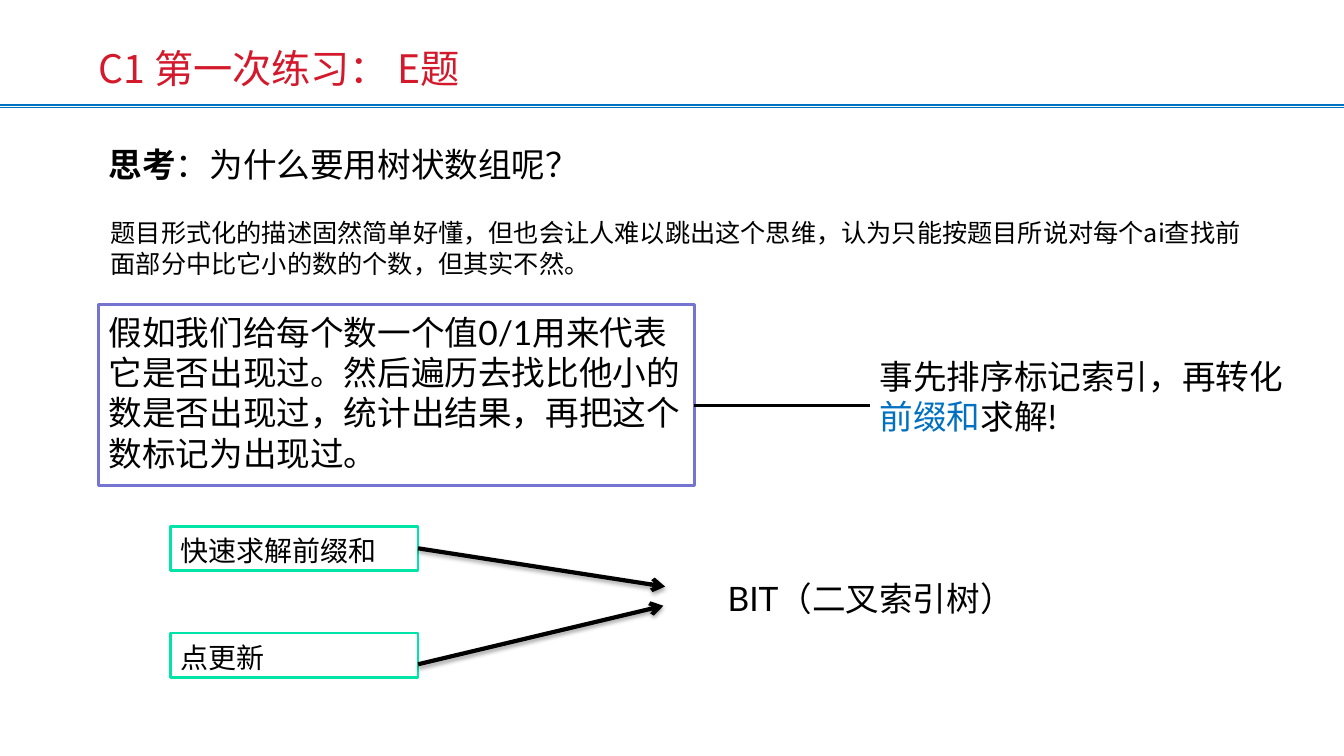
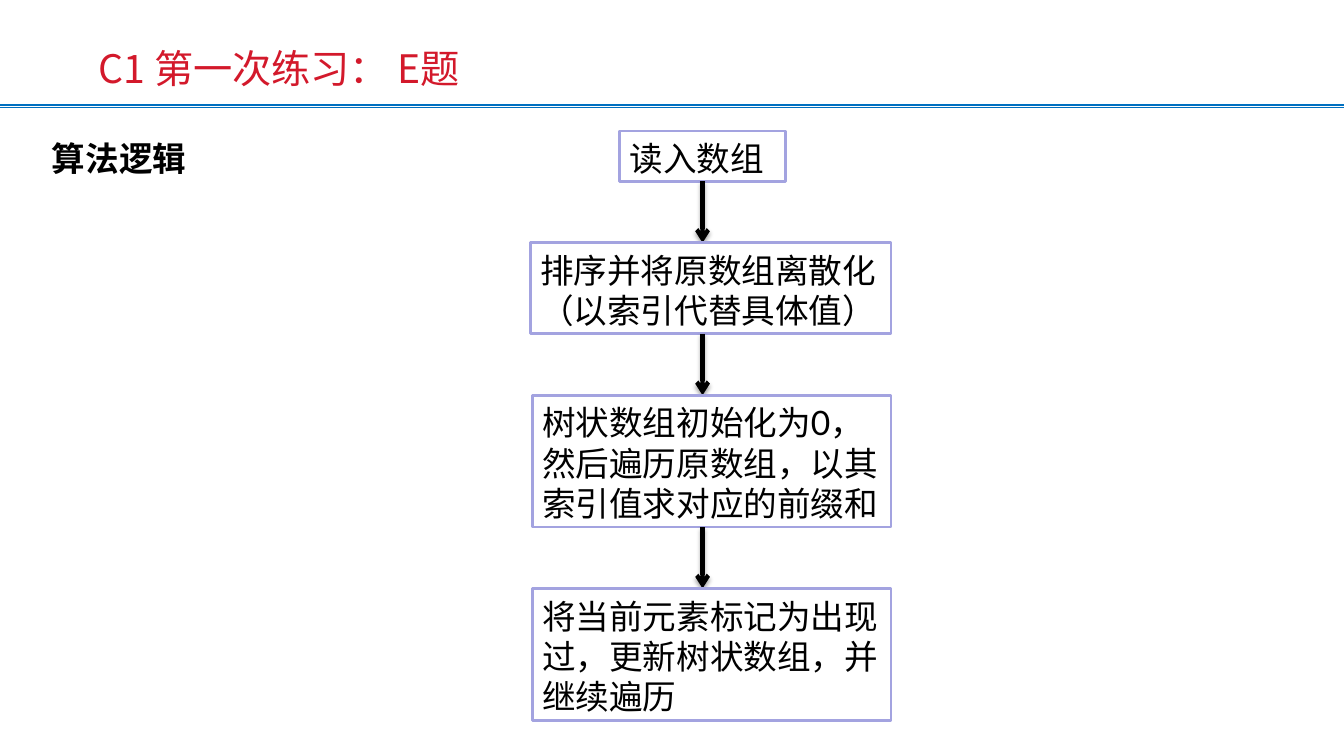
from dataclasses import dataclass

import lxml.etree
import pptx
import pptx.dml.color
import pptx.enum.lang
import pptx.enum.shapes
import pptx.enum.text
import pptx.oxml.ns
import pptx.util

COLUMNS, ROWS = 160, 90
CELL = pptx.util.Inches(7.5) / ROWS


@dataclass(frozen=True)
class Theme:
    ink: str = "000000"
    title_red: str = "D3192B"
    blue: str = "0070C0"
    violet: str = "7575D1"
    lilac: str = "A3A3E0"
    mint: str = "00E4A8"
    paper: str = "FFFFFF"
    latin: str = "Lato"
    chinese: str = "Noto Sans CJK SC"
    title_size: int = 28
    main_size: int = 24
    label_size: int = 20
    note_size: int = 18
    leading: float = 1.2


THEME = Theme()


@dataclass(frozen=True)
class Box:
    """A rectangle measured in grid cells."""
    left: float
    top: float
    width: float
    height: float

    def area(self, column, row, width, height):
        return Box(self.left + column, self.top + row, width, height)

    def point(self, column, row):
        return self.left + column, self.top + row

    def lengths(self):
        return [cells(n) for n in (self.left, self.top, self.width, self.height)]


def cells(count):
    return pptx.util.Emu(round(count * CELL))


def rgb(color):
    return pptx.dml.color.RGBColor.from_string(color)


def add_element(parent, tag, **attributes):
    return lxml.etree.SubElement(parent, pptx.oxml.ns.qn(tag), attributes)


def style_span(span, size, face, color, bold):
    span.font.size = pptx.util.Pt(size)
    span.font.bold = bold
    span.font.color.rgb = rgb(color)
    span.font.language_id = pptx.enum.lang.MSO_LANGUAGE_ID.SIMPLIFIED_CHINESE
    span.font.name = face
    add_element(span._r.get_or_add_rPr(), "a:ea", typeface=THEME.chinese)


def write(shape, paragraphs, size, face, color=THEME.ink,
          anchor=pptx.enum.text.MSO_ANCHOR.TOP):
    """Fill a shape; each paragraph is a list of (text, color or None, bold)."""
    frame = shape.text_frame
    frame.word_wrap = True
    frame.vertical_anchor = anchor
    frame.margin_top = pptx.util.Inches(0.07)
    for index, spans in enumerate(paragraphs):
        para = frame.add_paragraph() if index else frame.paragraphs[0]
        para.alignment = pptx.enum.text.PP_ALIGN.LEFT
        para.line_spacing = pptx.util.Pt(size * THEME.leading)
        for text, span_color, bold in spans:
            span = para.add_run()
            span.text = text
            style_span(span, size, face, span_color or color, bold)


def plain(*lines):
    return [[(line, None, False)] for line in lines]


def add_text(page, box, paragraphs, size=THEME.main_size, face=THEME.latin, **style):
    shape = page.shapes.add_textbox(*box.lengths())
    write(shape, paragraphs, size, face, **style)


def add_framed(page, box, paragraphs, border, size=THEME.main_size, face=THEME.latin):
    shape = page.shapes.add_shape(
        pptx.enum.shapes.MSO_SHAPE.RECTANGLE, *box.lengths())
    shape.shadow.inherit = False
    shape.fill.solid()
    shape.fill.fore_color.rgb = rgb(THEME.paper)
    shape.line.color.rgb = rgb(border)
    shape.line.width = pptx.util.Pt(2)
    write(shape, paragraphs, size, face)
    return shape


def add_line(page, start, end, color=THEME.ink, width=2.25):
    line = page.shapes.add_connector(
        pptx.enum.shapes.MSO_CONNECTOR.STRAIGHT,
        *[cells(n) for n in (*start, *end)])
    line.line.color.rgb = rgb(color)
    line.line.width = pptx.util.Pt(width)
    add_element(line._element.spPr, "a:effectLst")
    return line


def add_arrow(page, start, end):
    """A heavy arrow with a soft shadow below it."""
    arrow = add_line(page, start, end, width=3)
    properties = arrow._element.spPr
    add_element(properties.get_or_add_ln(), "a:tailEnd", type="arrow")
    effects = properties.find(pptx.oxml.ns.qn("a:effectLst"))
    shadow = add_element(
        effects, "a:outerShdw", blurRad=str(int(pptx.util.Pt(3.1))),
        dist=str(int(pptx.util.Pt(1.8))), dir="5400000", rotWithShape="0")
    tint = add_element(shadow, "a:srgbClr", val=THEME.ink)
    add_element(tint, "a:alpha", val="35000")
    return arrow


def add_page(deck, title):
    """A blank page with the double rule and the red title."""
    page = deck.slides.add_slide(deck.slide_layouts[6])
    for row, width in ((12.84, 0.75), (12.48, 1.5)):
        add_line(page, (0, row), (COLUMNS, row), THEME.blue, width)
    add_text(page, Box(10.56, 4.2, 126, 7.56), plain(title), THEME.title_size,
             THEME.chinese, color=THEME.title_red,
             anchor=pptx.enum.text.MSO_ANCHOR.MIDDLE)
    return page


def add_question(page, box):
    add_text(page, box.area(0, 0, 87.2, 6),
             [[("思考", None, True), ("：为什么要用树状数组呢？", None, False)]])
    add_text(page, box.area(0.24, 8.76, 137, 8.5), plain(
        "题目形式化的描述固然简单好懂，但也会让人难以跳出这个思维，"
        "认为只能按题目所说对每个ai查找前面部分中比它小的数的个数，但其实不然。"),
        THEME.note_size, THEME.chinese)


def add_idea(page, box):
    """The framed idea, joined by a line to what it turns into."""
    frame_width, line_row, answer_column = 70.92, 12, 91.8
    add_framed(page, box.area(0, 0, frame_width, box.height), plain(
        "假如我们给每个数一个值0/1用来代表它是否出现过。然后遍历去找比他小的"
        "数是否出现过，统计出结果，再把这个数标记为出现过。"), THEME.violet)
    add_line(page, box.point(frame_width, line_row),
             box.point(answer_column, line_row))
    add_text(page, box.area(answer_column, 5.28, box.width - answer_column, 10.9),
             [[("事先排序标记索引，再转化", None, False),
               ("前缀和", THEME.blue, False), ("求解!", None, False)]])


def add_needs(page, box):
    """Two needs whose arrows lead to the data structure that meets both."""
    label_width, label_height = 29.5, 5.28
    labels = [
        add_framed(page, box.area(0, row, label_width, label_height), plain(text),
                   THEME.mint, THEME.label_size, THEME.chinese)
        for text, row in (("快速求解前缀和", 0),
                          ("点更新", box.height - label_height))]
    upper = add_arrow(page, box.point(label_width, label_height / 2),
                      box.point(58.9, 7.2))
    upper.begin_connect(labels[0], 3)
    add_arrow(page, box.point(label_width, 16.44), box.point(58.7, 9.48))
    add_text(page, box.area(65.16, 5.28, 52.8, 6), plain("BIT（二叉索引树）"))


def add_flow(page, box, steps):
    """Stack (left, width, line count, paragraphs) steps, with arrows between."""
    gap, line_height, padding = 7.3, 4.85, 1.15
    axis = steps[0][0] + steps[0][1] / 2
    row = 0
    for index, (left, width, line_count, lines) in enumerate(steps):
        height = line_count * line_height + padding
        step = add_framed(page, box.area(left, row, width, height),
                          plain(*lines), THEME.lilac)
        row += height
        if index < len(steps) - 1:
            arrow = add_arrow(page, box.point(axis, row), box.point(axis, row + gap))
            if index == 0:
                arrow.begin_connect(step, 2)
        row += gap


def main():
    deck = pptx.Presentation()
    deck.slide_width, deck.slide_height = cells(COLUMNS), cells(ROWS)
    title = "C1 第一次练习： E题"

    page = add_page(deck, title)
    add_question(page, Box(11.76, 16.32, 137.24, 17.26))
    add_idea(page, Box(11.76, 36.24, 144.24, 21.6))
    add_needs(page, Box(20.28, 62.64, 118, 18))

    page = add_page(deck, title)
    add_text(page, Box(5, 15.6, 19.2, 6), [[("算法逻辑", None, True)]],
             face=THEME.chinese)
    add_flow(page, Box(63.12, 15.6, 42.96, 70.3), [
        (10.68, 19.68, 1, ["读入数组"]),
        (0, 42.96, 2, ["排序并将原数组离散化", "（以索引代替具体值）"]),
        (0.24, 42.72, 3, ["树状数组初始化为0，然后遍历原数组，以其索引值求对应的前缀和"]),
        (0.24, 42.72, 3, ["将当前元素标记为出现过，更新树状数组，并继续遍历"]),
    ])

    deck.save("out.pptx")


if __name__ == "__main__":
    main()
